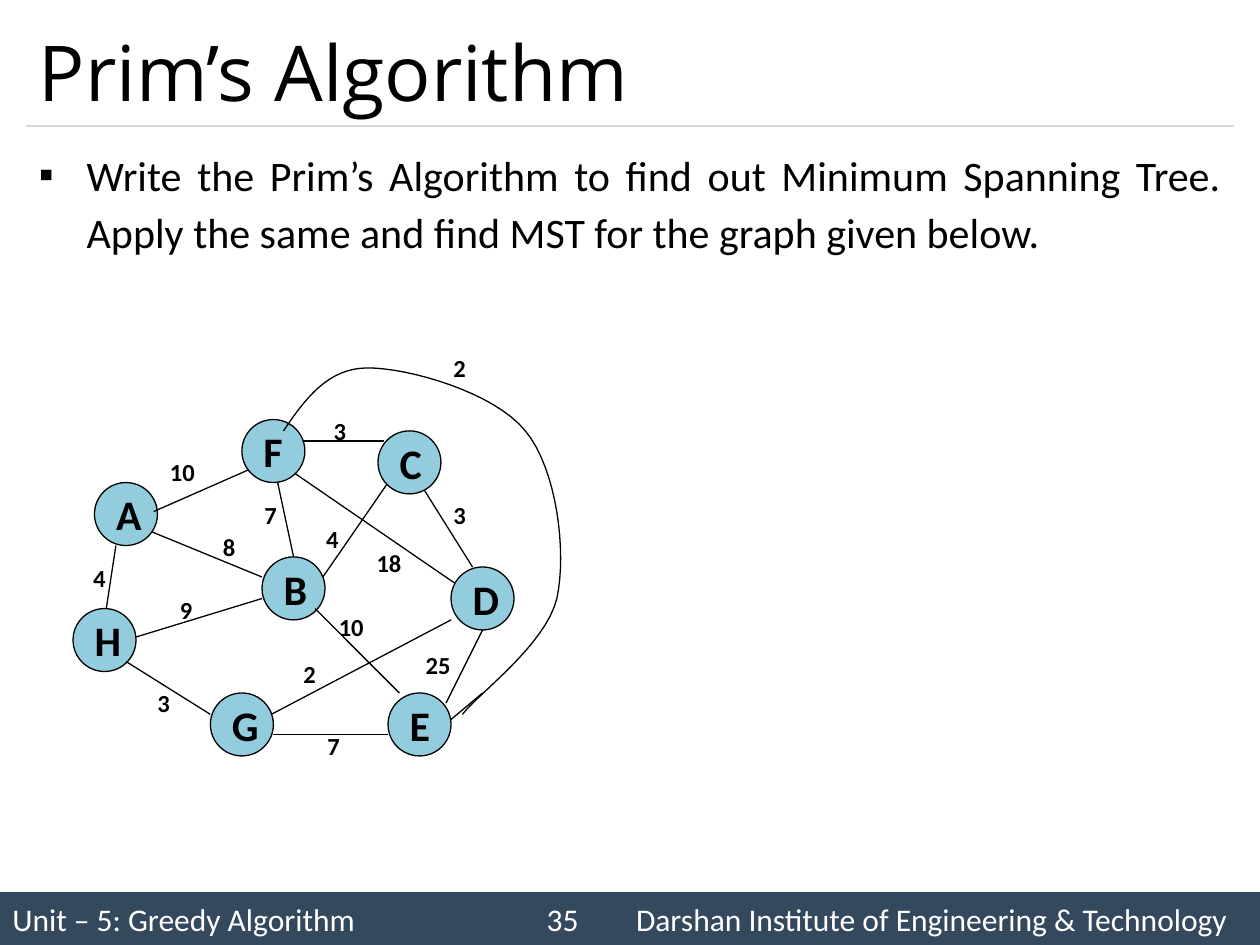
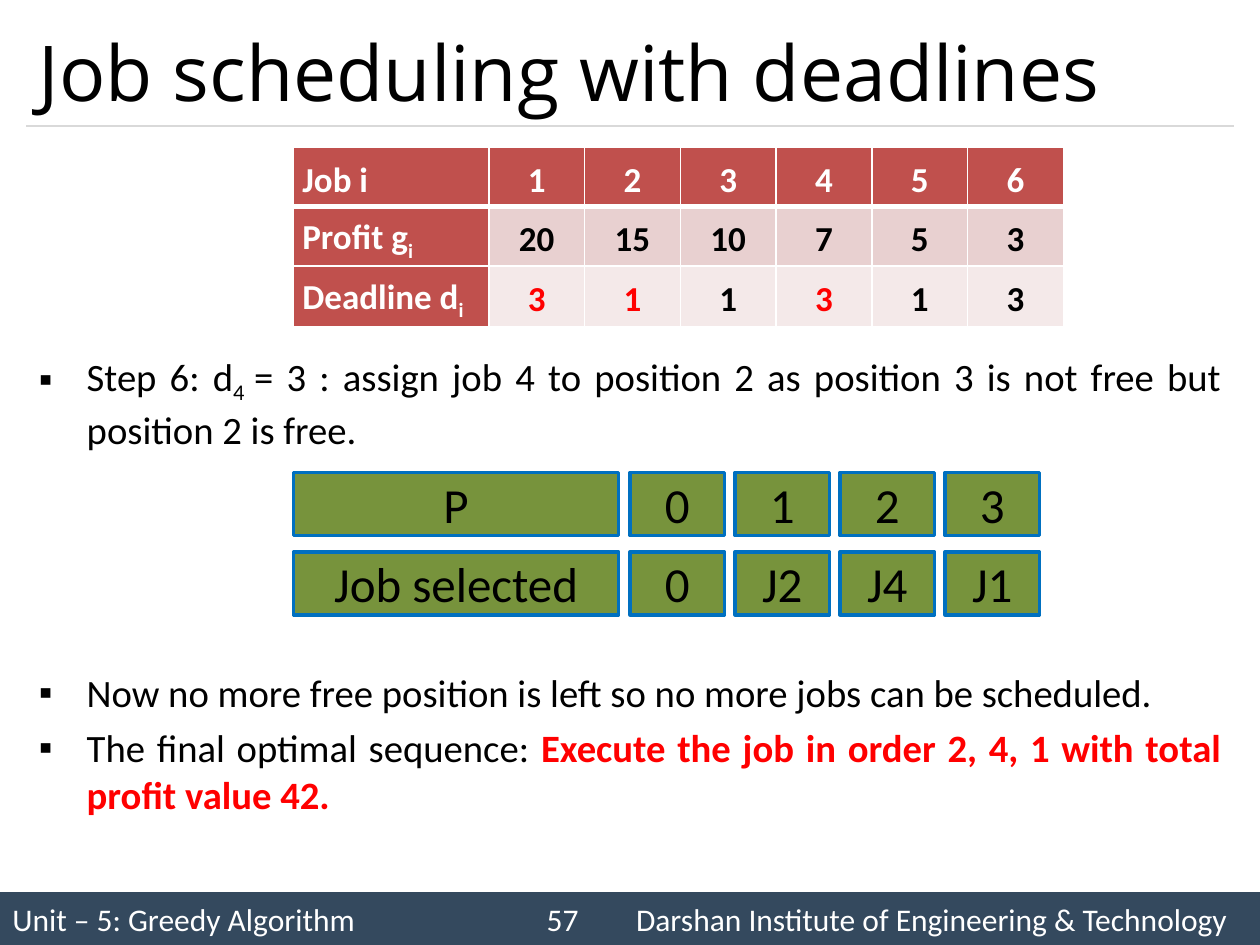
from lxml import etree
from pptx import Presentation
from pptx.dml.color import RGBColor
from pptx.enum.shapes import MSO_CONNECTOR as CONN, MSO_SHAPE as SHAPE
from pptx.enum.text import MSO_ANCHOR as ANCHOR, PP_ALIGN as ALIGN
from pptx.oxml.ns import qn
from pptx.util import Inches, Pt

COLORS = {
    "black": "000000", "white": "FFFFFF", "red": "FF0000", "band": "34495E",
    "rule": "D9D9D9", "node": "93CDDD", "slot": "77933C", "slot_line": "0070C0",
    "header": "C0504D", "profit": "E8D0D0", "deadline": "F4E9E9",
}
RGB = {name: RGBColor.from_string(value) for name, value in COLORS.items()}


def style(font, size, color="black", bold=False, name="Calibri"):
    font.size, font.bold, font.name = Pt(size), bold, name
    font.color.rgb = RGB[color]


def add_line(slide, x1, y1, x2, y2, color="black"):
    c = slide.shapes.add_connector(
        CONN.STRAIGHT, Inches(x1), Inches(y1), Inches(x2), Inches(y2))
    c.line.color.rgb = RGB[color]
    c.line.width = Pt(0.75)
    etree.SubElement(c._element.spPr, qn("a:effectLst"))


prs = Presentation()
prs.slide_width, prs.slide_height = Inches(10), Inches(7.5)

# Shared frame: footer band, rule and title
for title, page in [("Prim’s Algorithm", 35), ("Job scheduling with deadlines", 57)]:
    s = prs.slides.add_slide(prs.slide_layouts[6])
    sp = s.shapes.add_shape(SHAPE.RECTANGLE, 0, Inches(7.08), Inches(10), Inches(0.42))
    sp.shadow.inherit = False
    sp.fill.solid()
    sp.fill.fore_color.rgb = RGB["band"]
    sp.line.fill.background()
    tf = sp.text_frame
    tf.vertical_anchor = ANCHOR.MIDDLE
    p = tf.paragraphs[0]
    p.text = (f"Unit – 5: Greedy Algorithm\t{page}\t"
              "Darshan Institute of Engineering & Technology")
    p.alignment = ALIGN.LEFT
    tabs = etree.SubElement(p._p.get_or_add_pPr(), qn("a:tabLst"))
    for stop in (4.24, 4.95):
        etree.SubElement(tabs, qn("a:tab"), pos=str(Inches(stop)), algn="l")
    style(p.runs[0].font, 18, "white")

    add_line(s, 0.21, 1, 9.79, 1, "rule")

    sp = s.shapes.add_textbox(Inches(0.21), Inches(0.12), Inches(9.58), Inches(0.88))
    tf = sp.text_frame
    tf.word_wrap = True
    tf.vertical_anchor = ANCHOR.MIDDLE
    tf.text = title
    style(tf.paragraphs[0].runs[0].font, 44, name="Open Sans")

prim, jobs = prs.slides

# Bulleted text: slide, top, height, size, line spacing, paragraphs of (text, kind)
bullet_boxes = [
    (prim, 1.08, 1.1, 24, 1.14, [
        [("Write the Prim’s Algorithm to find out Minimum Spanning Tree. "
          "Apply the same and find MST for the graph given below.", "plain")]]),
    (jobs, 2.74, 0.95, 22.1, 1.02, [
        [("Step 6: d", "plain"), ("4 ", "sub"),
         ("= 3 : assign job 4 to position 2 as position 3 is not free but "
          "position 2 is free.", "plain")]]),
    (jobs, 5.25, 1.4, 22.1, 1.02, [
        [("Now no more free position is left so no more jobs can be scheduled.", "plain")],
        [("The final optimal sequence: ", "plain"),
         ("Execute the job in order 2, 4, 1 with total profit value 42.", "key")]]),
]
for s, top, height, size, spacing, paragraphs in bullet_boxes:
    sp = s.shapes.add_textbox(Inches(0.21), Inches(top), Inches(9.58), Inches(height))
    tf = sp.text_frame
    tf.word_wrap = True
    for i, runs in enumerate(paragraphs):
        p = tf.add_paragraph() if i else tf.paragraphs[0]
        p.alignment = ALIGN.JUSTIFY
        p.line_spacing = spacing
        if i:
            p.space_before = Pt(4.5)
        pPr = p._p.get_or_add_pPr()
        pPr.set("marL", str(Inches(0.38)))
        pPr.set("indent", str(-Inches(0.38)))
        etree.SubElement(pPr, qn("a:buFont"), typeface="Wingdings 3")
        pPr[-1].set("typeface", "Arial")
        etree.SubElement(pPr, qn("a:buChar"), char="▪")
        for text, kind in runs:
            r = p.add_run()
            r.text = text
            style(r.font, size, "red" if kind == "key" else "black", kind == "key")
            if kind == "sub":
                r._r.get_or_add_rPr().set("baseline", "-25000")

# Graph edges behind the nodes
for edge in [
    (3.83, 5.0, 3.54, 5.58), (2.17, 3.67, 2.33, 4.42), (2.5, 4.67, 3.08, 3.83),
    (3.67, 4.67, 2.33, 3.75), (1, 5.08, 2.08, 4.75), (2, 5.75, 3.58, 4.92),
    (0.83, 4.92, 0.92, 4.33), (1.08, 4.17, 2.08, 4.58), (2.38, 3.5, 3.05, 3.5),
    (3.33, 3.83, 3.75, 4.5),
]:
    add_line(prim, *edge)

# Graph nodes
nodes = {"A": (0.75, 3.83), "H": (0.58, 4.83), "B": (2.08, 4.42), "F": (1.92, 3.33),
         "E": (3.08, 5.5), "D": (3.58, 4.5), "C": (3, 3.42), "G": (1.67, 5.5)}
for name, (x, y) in nodes.items():
    sp = prim.shapes.add_shape(SHAPE.OVAL, Inches(x), Inches(y), Inches(0.5), Inches(0.5))
    sp.shadow.inherit = False
    sp.fill.solid()
    sp.fill.fore_color.rgb = RGB["node"]
    sp.line.color.rgb = RGB["black"]
    sp.line.width = Pt(0.75)
    tf = sp.text_frame
    tf.word_wrap = False
    tf.vertical_anchor = ANCHOR.MIDDLE
    tf.text = name
    p = tf.paragraphs[0]
    p.alignment = ALIGN.LEFT
    style(p.runs[0].font, 24, bold=True)

# Graph edges in front of the nodes
for edge in [
    (2.5, 4.83, 3.17, 5.5), (3.08, 5.83, 2.17, 5.83), (1.67, 5.67, 1, 5.25),
    (1.22, 4.06, 1.97, 3.73), (3.83, 5.5, 3.58, 5.71),
]:
    add_line(prim, *edge)

# Curved edge from F to E, traced along its Bezier segments
start = (2.25, 3.42)
curve = [
    ((2.42, 3.17), (2.6, 2.92), (2.92, 2.92)),
    ((3.24, 2.92), (3.92, 3.11), (4.17, 3.42)),
    ((4.42, 3.72), (4.5, 4.38), (4.42, 4.75)),
    ((4.33, 5.12), (3.79, 5.51), (3.67, 5.67)),
]
steps = 16
points = []
a = start
for b, c, d in curve:
    for t in (k / steps for k in range(1, steps + 1)):
        u = 1 - t
        points.append(tuple(
            Inches(u**3 * a[i] + 3 * u*u*t * b[i] + 3 * u*t*t * c[i] + t**3 * d[i])
            for i in (0, 1)))
    a = d
builder = prim.shapes.build_freeform(Inches(start[0]), Inches(start[1]))
builder.add_line_segments(points, close=False)
sp = builder.convert_to_shape()
sp.shadow.inherit = False
sp.fill.background()
sp.line.color.rgb = RGB["black"]
sp.line.width = Pt(0.75)

# Edge weights
for weight, x, y in [
    (4, 0.64, 4.42), (25, 3.28, 5.11), (7, 2.5, 5.75), (2, 2.31, 5.18),
    (10, 2.59, 4.81), (18, 2.89, 4.3), (3, 3.5, 3.92), (4, 2.49, 4.11),
    (3, 2.55, 3.25), (7, 2, 3.92), (8, 1.67, 4.17), (9, 1.33, 4.67),
    (3, 1.15, 5.41), (10, 1.25, 3.58), (2, 3.5, 2.75),
]:
    width = 0.52 if weight > 9 else 0.33
    sp = prim.shapes.add_textbox(Inches(x), Inches(y), Inches(width), Inches(0.33))
    tf = sp.text_frame
    tf.word_wrap = True
    tf.text = str(weight)
    style(tf.paragraphs[0].runs[0].font, 14, bold=True)

# Job positions
for row, texts in enumerate([("P", "0", "1", "2", "3"),
                             ("Job selected", "0", "J2", "J4", "J1")]):
    for col, text in enumerate(texts):
        x, width = (5 + (col - 1) * 5 / 6, 0.75) if col else (2.33, 2.58)
        sp = jobs.shapes.add_shape(SHAPE.RECTANGLE, Inches(x), Inches(3.75 + row * 0.63),
                                   Inches(width), Inches(0.5))
        sp.shadow.inherit = False
        sp.fill.solid()
        sp.fill.fore_color.rgb = RGB["slot"]
        sp.line.color.rgb = RGB["slot_line"]
        sp.line.width = Pt(2)
        tf = sp.text_frame
        tf.vertical_anchor = ANCHOR.MIDDLE
        tf.text = text
        p = tf.paragraphs[0]
        p.alignment = ALIGN.CENTER
        style(p.runs[0].font, 28)

# Job table: label, subscript, fill, values
job_rows = [
    ("Job i", "", "header", (1, 2, 3, 4, 5, 6)),
    ("Profit g", "i", "profit", (20, 15, 10, 7, 5, 3)),
    ("Deadline d", "i", "deadline", (3, 1, 1, 3, 1, 3)),
]
scheduled = (1, 2, 4)
table = jobs.shapes.add_table(3, 7, Inches(2.33), Inches(1.17),
                              Inches(6.08), Inches(1.41)).table
for col, column in enumerate(table.columns):
    column.width = Inches(0.76 if col else 1.55)
for row, (label, sub, fill, values) in enumerate(job_rows):
    table.rows[row].height = Inches(0.48 if row == 2 else 0.47)
    for col, text in enumerate((label, *values)):
        cell = table.cell(row, col)
        cell.margin_left = cell.margin_right = Inches(0.07)
        cell.margin_top = cell.margin_bottom = 0
        cell.vertical_anchor = ANCHOR.MIDDLE
        for side in ("lnL", "lnR", "lnT", "lnB"):
            thick = (row, side) in [(0, "lnB"), (1, "lnT")]
            ln = etree.SubElement(cell._tc.get_or_add_tcPr(), qn(f"a:{side}"),
                                  w=str(Pt(3 if thick else 1)))
            solid = etree.SubElement(ln, qn("a:solidFill"))
            etree.SubElement(solid, qn("a:srgbClr"), val=COLORS["white"])
        cell.fill.solid()
        cell.fill.fore_color.rgb = RGB[fill if col else "header"]
        p = cell.text_frame.paragraphs[0]
        p.text = str(text)
        p.alignment = ALIGN.CENTER if col else ALIGN.JUSTIFY
        p.line_spacing = 1.15
        if sub and col == 0:
            r = p.add_run()
            r.text = sub
            r._r.get_or_add_rPr().set("baseline", "-25000")
        if row == 0 or col == 0:
            color = "white"
        else:
            color = "red" if row == 2 and col in scheduled else "black"
        for r in p.runs:
            style(r.font, 20, color, True)

prs.save("out.pptx")
